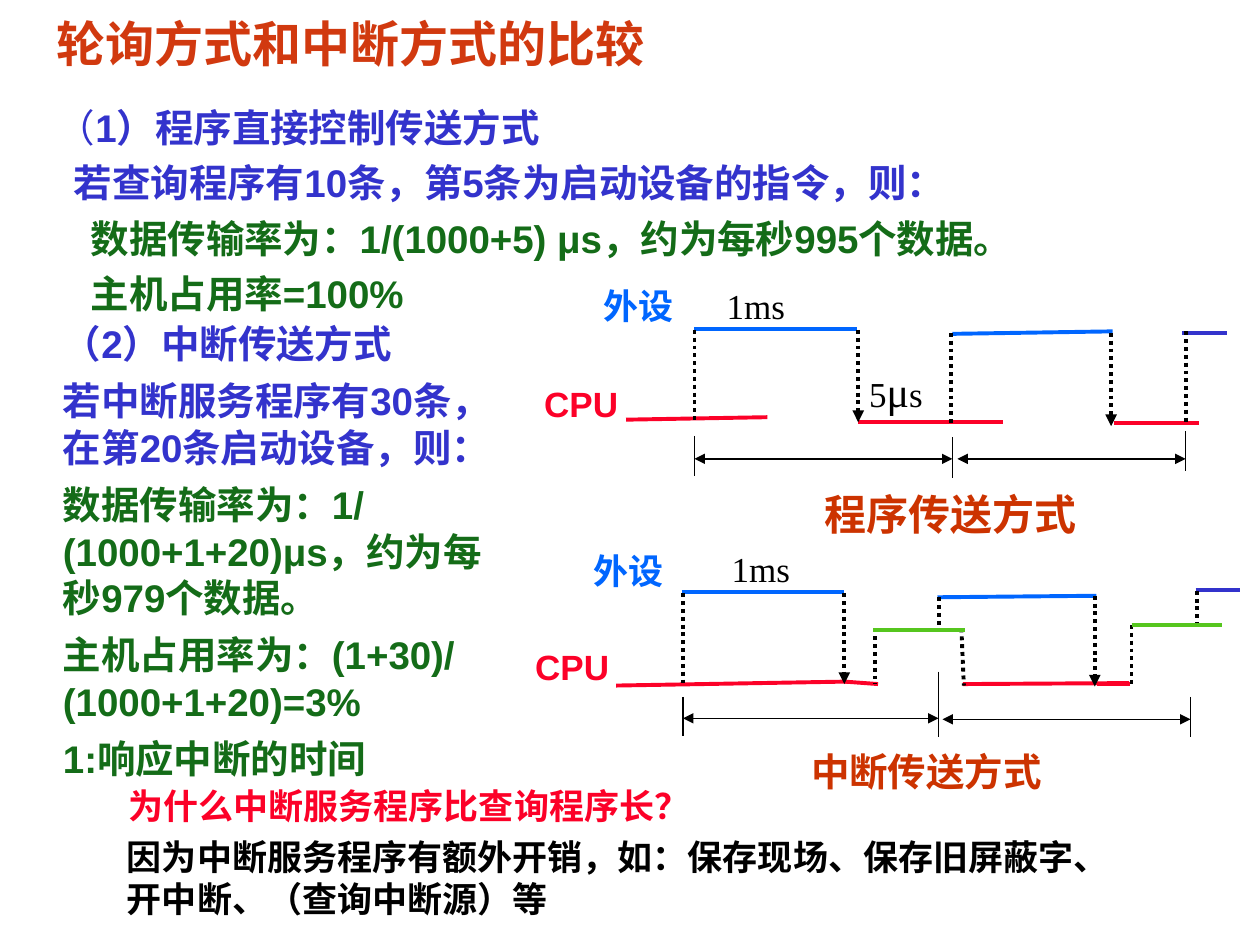
from dataclasses import dataclass

import lxml.etree
import pptx
import pptx.dml.color
import pptx.enum.dml
import pptx.enum.shapes
import pptx.enum.text
import pptx.oxml.ns
import pptx.util
from pptx.util import Cm

qn = pptx.oxml.ns.qn


@dataclass(frozen=True)
class Theme:
    sans: str = "Arial"
    serif: str = "Times New Roman"
    cjk: str = "Noto Sans CJK SC"
    title: str = "D1390F"
    caption: str = "CC3300"
    indigo: str = "3333CC"
    green: str = "146C18"
    lime: str = "56C61E"
    device: str = "0066FF"
    cpu: str = "FC0128"
    black: str = "000000"
    white: str = "FFFFFF"
    title_size: int = 28
    large_size: int = 24
    body_size: int = 22
    label_size: int = 20
    signal_width: float = 2.25
    thin_width: float = 0.75


class SlideBuilder:
    def __init__(self, slide, theme):
        self.s = slide
        self.theme = theme
        self.shapes = slide.shapes

    def start_group(self):
        """Send the next elements into a new group."""
        self.shapes = self.s.shapes.add_group_shape().shapes

    def end_group(self):
        self.shapes = self.s.shapes

    def style_run(self, r, size, color, font, bold):
        r.font.size = pptx.util.Pt(size)
        r.font.name = font
        r.font.bold = bold
        r.font.color.rgb = pptx.dml.color.RGBColor.from_string(color)
        ea = lxml.etree.Element(qn("a:ea"), typeface=self.theme.cjk)
        r.font._element.find(qn("a:latin")).addnext(ea)

    def set_text(self, sp, paragraphs, size, font, bold=True, before=0, line=None,
                 insets=None, wrap=True):
        """Fill sp with (text, colour, left indent in cm) paragraphs."""
        tf = sp.text_frame
        tf.word_wrap = wrap
        tf.vertical_anchor = pptx.enum.text.MSO_ANCHOR.TOP
        if insets:
            tf.margin_left = tf.margin_right = Cm(insets[0])
            tf.margin_top = tf.margin_bottom = Cm(insets[1])
        tf.text = "\n".join(text for text, _, _ in paragraphs)
        for i, (p, (_, color, indent)) in enumerate(zip(tf.paragraphs, paragraphs)):
            p.alignment = pptx.enum.text.PP_ALIGN.LEFT
            if indent:
                p._p.get_or_add_pPr().set("marL", str(Cm(indent)))
            if i and before:
                p.space_before = pptx.util.Pt(before)
            if line:
                p.line_spacing = line
            for r in p.runs:
                self.style_run(r, size, color, font, bold)
        return tf

    def text(self, box, paragraphs, size, font, **options):
        sp = self.shapes.add_textbox(*map(Cm, box))
        return self.set_text(sp, paragraphs, size, font, **options)

    def label(self, box, text, color, size, font, **options):
        return self.text(box, [(text, color, 0)], size, font, **options)

    def panel(self, box, paragraphs, size, font):
        sp = self.shapes.add_shape(pptx.enum.shapes.MSO_SHAPE.RECTANGLE, *map(Cm, box))
        sp.shadow.inherit = False
        sp.fill.solid()
        sp.fill.fore_color.rgb = pptx.dml.color.RGBColor.from_string(self.theme.white)
        sp.line.fill.background()
        self.set_text(sp, paragraphs, size, font)

    def line(self, ends, color, width, dotted=False, arrows=()):
        cn = self.shapes.add_connector(
            pptx.enum.shapes.MSO_CONNECTOR.STRAIGHT, *map(Cm, ends))
        cn.line.color.rgb = pptx.dml.color.RGBColor.from_string(color)
        cn.line.width = pptx.util.Pt(width)
        if dotted:
            cn.line.dash_style = pptx.enum.dml.MSO_LINE.ROUND_DOT
        sp_pr = cn._element.spPr
        for end in arrows:
            lxml.etree.SubElement(sp_pr.find(qn("a:ln")), qn(f"a:{end}"), type="triangle")
        lxml.etree.SubElement(sp_pr, qn("a:effectLst"))

    def signals(self, color, *lines):
        for ends in lines:
            self.line(ends, color, self.theme.signal_width)

    def edges(self, *lines, arrows=()):
        """Dotted transitions between signal levels."""
        for ends in lines:
            self.line(ends, self.theme.black, self.theme.signal_width, True, arrows)

    def ticks(self, *ticks):
        for x, top, bottom in ticks:
            self.line((x, top, x, bottom), self.theme.black, self.theme.thin_width)

    def spans(self, *spans):
        """Double-headed dimension arrows."""
        for left, right, y in spans:
            self.line((left, y, right, y), self.theme.black, self.theme.thin_width,
                      arrows=("headEnd", "tailEnd"))

    def signal_names(self, device, cpu, period):
        """Place the three labels from their left, top and width."""
        t = self.theme
        self.label((*device, 1.09), "外设", t.device, t.label_size, t.serif)
        self.label((*cpu, 1.09), "CPU", t.cpu, t.label_size, t.sans)
        self.label((*period, 1.09), "1ms", t.black, t.label_size, t.serif, bold=False)


def add_notes_on_rates(b):
    t = b.theme
    insets = (0.18, 0.08)
    b.label((0.97, 0.36, 17.63, 1.17), "轮询方式和中断方式的比较", t.title,
            t.title_size, t.cjk, line=0.87, insets=insets)
    tf = b.text((0.97, 1.83, 21.74, 5.72), [
        ("（", t.indigo, 0),
        ("若查询程序有10条，第5条为启动设备的指令，则：", t.indigo, 0.34),
        ("数据传输率为：1/(1000+5) μs，约为每秒995个数据。", t.green, 0.68),
        ("主机占用率=100%", t.green, 0.68),
    ], t.body_size, t.sans, line=1.2, insets=insets)
    p = tf.paragraphs[0]
    p.runs[0].font.bold = False
    r = p.add_run()
    r.text = "1）程序直接控制传送方式"
    b.style_run(r, t.body_size, t.indigo, t.sans, True)
    b.text((1.02, 6.32, 9.47, 9.86), [
        ("（2）中断传送方式", t.indigo, 0),
        ("若中断服务程序有30条，在第20条启动设备，则：", t.indigo, 0),
        ("数据传输率为：1/(1000+1+20)μs，约为每秒979个数据。", t.green, 0),
        ("主机占用率为：(1+30)/(1000+1+20)=3%", t.green, 0),
        ("1:响应中断的时间", t.green, 0),
    ], t.body_size, t.sans, before=6.6)


def add_polling_diagram(b):
    t = b.theme
    b.start_group()
    b.signals(t.cpu, (12.62, 8.46, 15.47, 8.41), (17.3, 8.51, 20.22, 8.51),
              (22.45, 8.53, 24.18, 8.53))
    b.signals(t.device, (14, 6.63, 17.27, 6.63), (19.2, 6.73, 22.43, 6.68))
    b.signals(t.indigo, (23.83, 6.71, 24.74, 6.71))
    b.edges((14, 6.65, 14, 8.48), (19.18, 6.71, 19.18, 8.56), (23.9, 6.68, 23.9, 8.51))
    b.edges((17.3, 6.65, 17.3, 8.51), (22.4, 6.71, 22.4, 8.59), arrows=["tailEnd"])
    b.ticks((14, 8.79, 9.6), (19.2, 8.81, 9.63), (23.9, 8.69, 9.5))
    b.spans((14, 19.2, 9.25), (19.3, 23.9, 9.25))
    b.signal_names((11.91, 5.61, 3.02), (10.72, 7.59, 3.3), (14.4, 5.61, 2.79))
    tf = b.label((17.27, 7.24, 2.79, 1.27), "5", t.black, t.label_size, t.serif, bold=False)
    for text, size in (("μ", t.large_size), ("s", t.label_size)):
        r = tf.paragraphs[0].add_run()
        r.text = text
        b.style_run(r, size, t.black, t.serif, False)
    b.label((16.38, 9.73, 5.66, 1.27), "程序传送方式", t.caption, t.large_size, t.serif)
    b.end_group()


def add_interrupt_diagram(b):
    t = b.theme
    b.start_group()
    b.signals(t.cpu, (12.42, 13.82, 17.07, 13.74), (17.02, 13.74, 17.7, 13.79),
              (19.41, 13.79, 22.76, 13.77), (22.12, 13.79, 22.78, 13.79))
    b.signals(t.device, (13.74, 11.94, 17.02, 11.94), (18.9, 12.04, 22.1, 12.01))
    b.signals(t.indigo, (24.1, 11.89, 24.99, 11.89))
    b.edges((13.77, 11.96, 13.77, 13.77), (17.63, 12.67, 17.63, 13.79),
            (18.92, 12.04, 18.92, 12.67), (19.38, 12.67, 19.43, 13.82),
            (22.81, 12.6, 22.81, 13.79), (24.13, 11.91, 24.13, 12.55))
    b.edges((17.02, 11.96, 17.02, 13.79), (22.07, 12.01, 22.07, 13.84), arrows=["tailEnd"])
    b.signals(t.lime, (17.6, 12.7, 19.46, 12.7), (22.81, 12.6, 24.64, 12.6))
    b.ticks((13.77, 14.05, 14.83), (18.92, 13.54, 14.86), (24, 14.05, 14.86))
    b.spans((13.77, 18.92, 14.48), (19, 24, 14.5))
    b.signal_names((11.71, 10.95, 2.97), (10.54, 12.88, 3.28), (14.5, 10.92, 2.77))
    b.label((16.1, 14.96, 5.21, 1.19), "中断传送方式", t.caption, t.body_size, t.serif,
            wrap=False)
    b.end_group()


def add_question(b):
    t = b.theme
    b.label((2.34, 15.7, 12.17, 1.09), "为什么中断服务程序比查询程序长？", t.cpu,
            t.label_size, t.sans)
    b.panel((2.31, 16.71, 20.65, 1.96), [
        ("因为中断服务程序有额外开销，如：保存现场、保存旧屏蔽字、开中断、（查询中断源）等",
         t.black, 0)], t.label_size, t.sans)


def main():
    prs = pptx.Presentation()
    prs.slide_width, prs.slide_height = Cm(25.4), Cm(19.05)
    b = SlideBuilder(prs.slides.add_slide(prs.slide_layouts[6]), Theme())
    add_notes_on_rates(b)
    add_polling_diagram(b)
    add_interrupt_diagram(b)
    add_question(b)
    prs.save("out.pptx")


if __name__ == "__main__":
    main()
